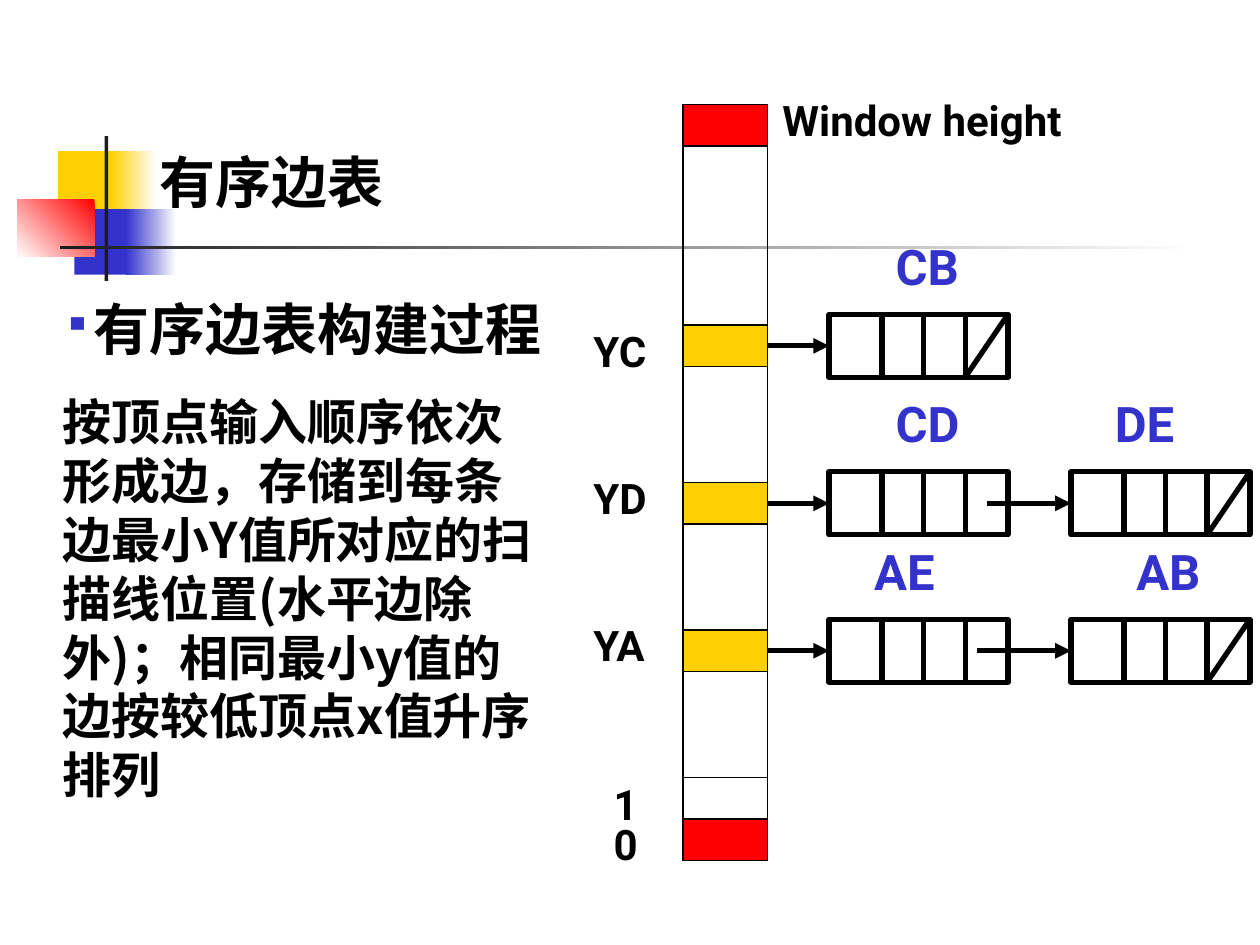
import pptx
import pptx.util
import pptx.dml.color
import pptx.enum.shapes
import pptx.enum.text
import pptx.oxml.ns
import lxml.etree

Inches = pptx.util.Inches
Pt = pptx.util.Pt
RGBColor = pptx.dml.color.RGBColor
RECTANGLE = pptx.enum.shapes.MSO_SHAPE.RECTANGLE
STRAIGHT = pptx.enum.shapes.MSO_CONNECTOR.STRAIGHT
ANCHOR = pptx.enum.text.MSO_ANCHOR
qn = pptx.oxml.ns.qn

BLACK = RGBColor(0x00, 0x00, 0x00)
WHITE = RGBColor(0xFF, 0xFF, 0xFF)
CHARCOAL = RGBColor(0x1C, 0x1C, 0x1C)
YELLOW = RGBColor(0xFF, 0xCF, 0x01)
RED = RGBColor(0xFF, 0x00, 0x00)
BLUE = RGBColor(0x33, 0x33, 0xCC)

LATIN = "Roboto"
CHINESE = "Noto Sans CJK SC"
RECORD_WIDTH, RECORD_HEIGHT = Inches(1.42), Inches(0.5)
DIVIDERS = [Inches(0.42), Inches(0.75), Inches(1.08)]
CELL_HEIGHT = Inches(0.33)


def add_block(slide, left, top, width, height, fill=None, line=None):
    block = slide.shapes.add_shape(RECTANGLE, left, top, width, height)
    block.shadow.inherit = False
    if fill is None:
        block.fill.background()
    else:
        block.fill.solid()
        block.fill.fore_color.rgb = fill
    if line is None:
        block.line.fill.background()
    else:
        block.line.color.rgb = BLACK
        block.line.width = Pt(line)
    return block


def add_fade(slide, box, start, end, angle):
    fade = add_block(slide, *box)
    fade.fill.gradient()
    fade.fill.gradient_angle = angle
    for stop, color in zip(fade.fill.gradient_stops, (start, end)):
        stop.color.rgb = color


def add_stroke(slide, x1, y1, x2, y2, arrow=False):
    stroke = slide.shapes.add_connector(STRAIGHT, x1, y1, x2, y2)
    stroke.line.color.rgb = BLACK
    stroke.line.width = Pt(3)
    if arrow:
        line = stroke.line._get_or_add_ln()
        lxml.etree.SubElement(line, qn("a:tailEnd"), type="triangle")
    lxml.etree.SubElement(stroke._element.spPr, qn("a:effectLst"))
    return stroke


def add_run(paragraph, words, size, color=BLACK, font=LATIN):
    run = paragraph.add_run()
    run.text = words
    for key, value in {"name": font, "size": Pt(size), "bold": True}.items():
        setattr(run.font, key, value)
    run.font.color.rgb = color
    lxml.etree.SubElement(run._r.get_or_add_rPr(), qn("a:ea"), typeface=font)


def add_frame(slide, left, top, width, height, side, edge, **options):
    frame = slide.shapes.add_textbox(left, top, width, height).text_frame
    margins = {"margin_left": side, "margin_right": side,
               "margin_top": edge, "margin_bottom": edge}
    for key, value in {"word_wrap": True, **margins, **options}.items():
        setattr(frame, key, value)
    return frame


def add_axis_label(slide, words, left, top, width):
    frame = add_frame(slide, left, top, width, Inches(0.4), Inches(0.04), 0)
    add_run(frame.paragraphs[0], words, 24)


def add_edge_label(slide, words, left, top):
    frame = add_frame(slide, left, top, Inches(0.83), Inches(0.57),
                      Inches(0.1), Inches(0.05), word_wrap=False)
    add_run(frame.paragraphs[0], words, 28, BLUE)


def build_ornament(slide, left, top):
    def box(x, y, width, height):
        return left + Inches(x), top + Inches(y), Inches(width), Inches(height)

    add_block(slide, *box(0.32, 0.12, 0.48, 0.52), fill=YELLOW)
    add_fade(slide, box(0.74, 0.12, 0.36, 0.52), WHITE, YELLOW, 180)
    add_block(slide, *box(0.45, 0.58, 0.46, 0.52), fill=BLUE)
    add_fade(slide, box(0.86, 0.58, 0.4, 0.52), WHITE, BLUE, 180)
    add_fade(slide, box(0, 0.5, 0.61, 0.46), RED, WHITE, 225)
    add_block(slide, *box(0.69, 0, 0.03, 1.15), fill=CHARCOAL)
    add_fade(slide, box(0.34, 0.87, 9, 0.03), WHITE, CHARCOAL, 180)


def build_title(slide, left, top, width, height):
    frame = add_frame(slide, left, top, width, height, Inches(0.1), Inches(0.05),
                      vertical_anchor=ANCHOR.BOTTOM)
    add_run(frame.paragraphs[0], "有序边表", 32)


def build_explanation(slide, left, top, width, height):
    frame = add_frame(slide, left, top, width, height, 0, Inches(0.05))
    heading = frame.paragraphs[0]
    indents = heading._p.get_or_add_pPr()
    indents.set("marL", str(Inches(0.24)))
    indents.set("indent", str(-Inches(0.24)))
    bullet_color = lxml.etree.SubElement(indents, qn("a:buClr"))
    lxml.etree.SubElement(bullet_color, qn("a:srgbClr"), val=str(BLUE))
    lxml.etree.SubElement(indents, qn("a:buSzPct"), val="70000")
    lxml.etree.SubElement(indents, qn("a:buChar"), char="▪")
    heading.line_spacing = Pt(41)
    add_run(heading, "有序边表构建过程", 32, font=CHINESE)

    body = frame.add_paragraph()
    body.space_before = Pt(17.5)
    body.line_spacing = Pt(33.6)
    add_run(body, "按顶点输入顺序依次形成边，存储到每条边最小Y值所对应的扫描线位置"
                  "(水平边除外)；相同最小y值的边按较低顶点x值升序排列", 28, font=CHINESE)


def build_record(slide, left, top, is_last):
    record = add_block(slide, left, top, RECORD_WIDTH, RECORD_HEIGHT, line=3)
    bottom = top + RECORD_HEIGHT
    for offset in DIVIDERS:
        add_stroke(slide, left + offset, top, left + offset, bottom)
    if is_last:
        add_stroke(slide, left + DIVIDERS[-1], bottom, left + RECORD_WIDTH, top)
    return record


def build_chain(slide, bucket, left, top, labels, link_start):
    middle = top + RECORD_HEIGHT // 2
    for index, (words, label_x) in enumerate(labels):
        record_left = left + index * Inches(1.92)
        record = build_record(slide, record_left, top, index == len(labels) - 1)
        start = left + link_start if index else bucket.left + bucket.width
        link = add_stroke(slide, start, middle, record_left, middle, arrow=True)
        if not index:
            link.begin_connect(bucket, 3)
        link.end_connect(record, 1)
        add_edge_label(slide, words, left + Inches(label_x), top - Inches(0.67))


def build_edge_table(slide, left, top, width, height):
    add_block(slide, left, top, width, height, line=0.75)
    for offset, fill in ((0, RED), (5.34, None), (5.67, RED)):
        add_block(slide, left, top + Inches(offset), width, CELL_HEIGHT, fill, 0.75)
    add_axis_label(slide, "Window height", left + Inches(0.75),
                   top - Inches(0.08), Inches(2.83))
    for words, offset in (("0", 5.67), ("1", 5.35)):
        add_axis_label(slide, words, left - Inches(0.59),
                       top + Inches(offset), Inches(0.25))

    buckets = [
        ("YC", 1.75, 1.75, 0, [("CB", 0.43)]),
        ("YD", 3, 2.92, 1.25, [("CD", 0.43), ("DE", 2.17)]),
        ("YA", 4.17, 4.09, 1.17, [("AE", 0.26), ("AB", 2.34)]),
    ]
    for words, offset, label_offset, link_start, labels in buckets:
        bucket = add_block(slide, left, top + Inches(offset), width, CELL_HEIGHT,
                           YELLOW, 0.75)
        add_axis_label(slide, words, left - Inches(0.75),
                       top + Inches(label_offset), Inches(0.58))
        chain_top = bucket.top + (CELL_HEIGHT - RECORD_HEIGHT) // 2
        build_chain(slide, bucket, left + Inches(1.16), chain_top, labels,
                    Inches(link_start))


def main():
    deck = pptx.Presentation()
    deck.slide_width, deck.slide_height = Inches(10), Inches(7.5)
    slide = deck.slides.add_slide(deck.slide_layouts[6])
    build_ornament(slide, Inches(0.14), Inches(1.08))
    build_title(slide, Inches(1.17), Inches(1.08), Inches(3), Inches(0.67))
    build_edge_table(slide, Inches(5.42), Inches(0.83), Inches(0.67), Inches(6))
    build_explanation(slide, Inches(0.5), Inches(2.25), Inches(3.83), Inches(4.5))
    deck.save("out.pptx")


if __name__ == "__main__":
    main()
